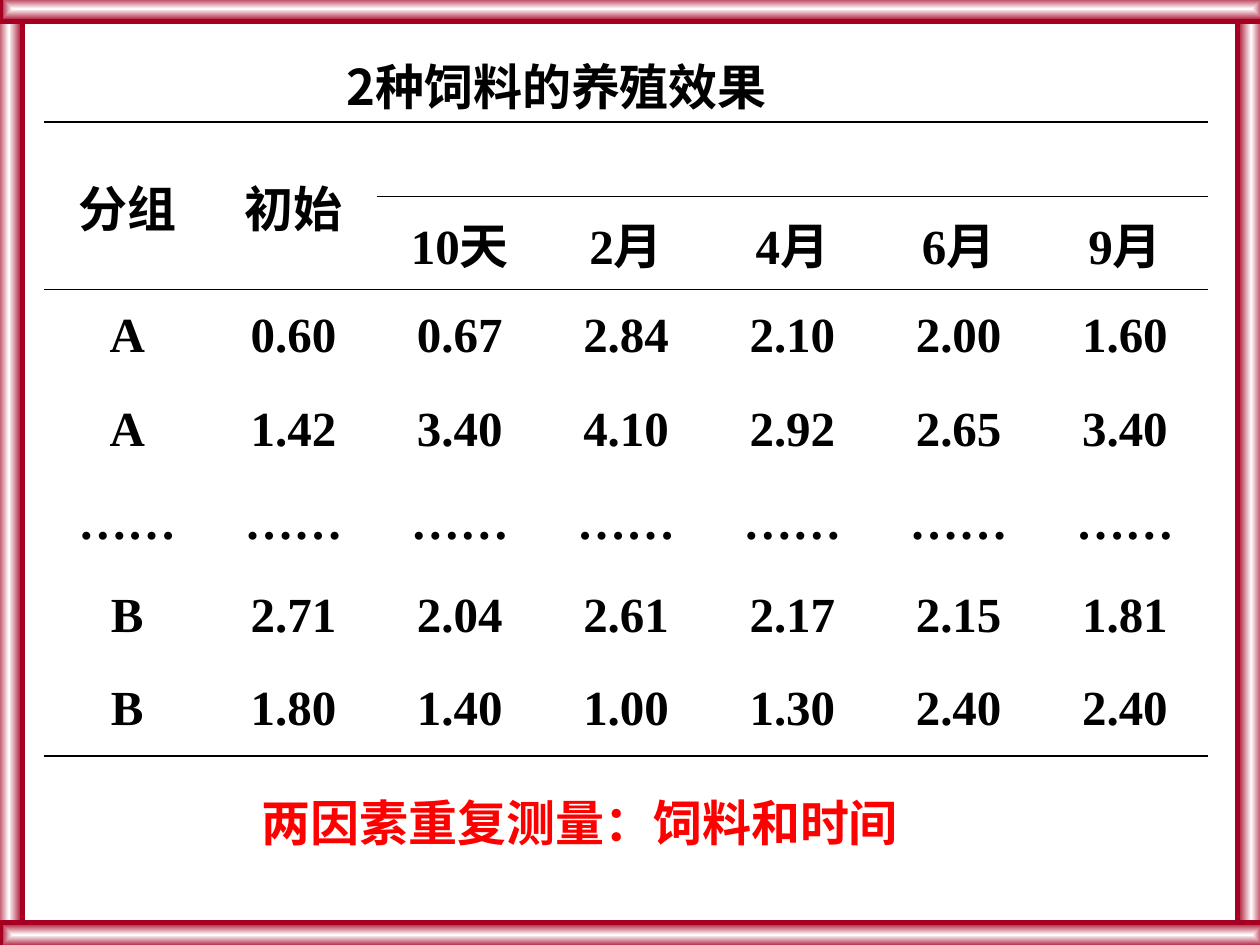
from lxml.etree import SubElement
from pptx import Presentation
from pptx.dml.color import RGBColor
from pptx.enum.shapes import MSO_SHAPE as Shape
from pptx.enum.text import MSO_ANCHOR as Anchor, PP_ALIGN as Align
from pptx.oxml import parse_xml
from pptx.oxml.ns import nsdecls, qn
from pptx.util import Inches, Pt

BLACK, RED, CRIMSON, WHITE = "000000", "FF0000", "A50021", "FFFFFF"
LATIN, CHINESE = "Times New Roman", "Noto Sans CJK SC"
PLAIN_TABLE = "{2D5ABB26-0587-4C30-8999-92F81FD0307C}"
THICK, THIN = 1.08, 0.45


def rgb(value):
    return RGBColor.from_string(value)


class FeedSlide:
    text_size = Pt(28)

    def __init__(self, slide):
        self.slide = slide

    def style(self, frame, color=BLACK, latin=LATIN, align=Align.LEFT):
        for paragraph in frame.paragraphs:
            paragraph.alignment = align
            for run in paragraph.runs:
                run.font.size = self.text_size
                run.font.bold = True
                run.font.name = latin
                run.font.color.rgb = rgb(color)
                SubElement(run.font._element, qn("a:ea"), typeface=CHINESE)

    def frame_bar(self, left, top, width, height):
        bar = self.slide.shapes.add_shape(
            Shape.RECTANGLE, Inches(left), Inches(top), Inches(width), Inches(height))
        bar.shadow.inherit = False
        bar.line.color.rgb = rgb(CRIMSON)
        bar.line.width = Pt(3)
        gradient = parse_xml(
            f'<a:gradFill {nsdecls("a")} rotWithShape="1"><a:gsLst>'
            f'<a:gs pos="0"><a:srgbClr val="{WHITE}"/></a:gs>'
            f'<a:gs pos="100000"><a:srgbClr val="{CRIMSON}"/></a:gs></a:gsLst>'
            '<a:path path="rect"><a:fillToRect l="50000" t="50000" r="50000" b="50000"/>'
            '</a:path></a:gradFill>')
        bar._element.spPr.find(qn("a:prstGeom")).addnext(gradient)

    def title(self, text, left, top, width, height):
        heading = self.slide.shapes.title
        heading.left, heading.top = Inches(left), Inches(top)
        heading.width, heading.height = Inches(width), Inches(height)
        heading.text_frame.text = text
        heading.text_frame.vertical_anchor = Anchor.TOP
        self.style(heading.text_frame, latin=CHINESE)

    def note(self, text, left, top, width, height, color):
        box = self.slide.shapes.add_textbox(
            Inches(left), Inches(top), Inches(width), Inches(height))
        box.text_frame.word_wrap = True
        box.text_frame.text = text
        self.style(box.text_frame, color)

    def borders(self, cell, top, bottom):
        properties = cell._tc.get_or_add_tcPr()
        for side, width in (("L", 0), ("R", 0), ("T", top), ("B", bottom)):
            edge = SubElement(properties, qn(f"a:ln{side}"), w=str(Pt(width)))
            if width:
                fill = SubElement(edge, qn("a:solidFill"))
                SubElement(fill, qn("a:srgbClr"), val=BLACK)
            else:
                SubElement(edge, qn("a:noFill"))

    def table(self, rows, left, top, column_width, row_heights, rule_at):
        column_count = len(rows[0])
        grid = self.slide.shapes.add_table(
            len(rows), column_count, Inches(left), Inches(top),
            Inches(column_width * column_count), Inches(sum(row_heights))).table
        grid._tbl.tblPr.find(qn("a:tableStyleId")).text = PLAIN_TABLE
        grid.first_row = grid.horz_banding = False
        for column in grid.columns:
            column.width = Inches(column_width)
        for r, (values, height) in enumerate(zip(rows, row_heights)):
            grid.rows[r].height = Inches(height)
            for c, value in enumerate(values):
                cell = grid.cell(r, c)
                self.borders(cell, rule_at(r, c), rule_at(r + 1, c))
                cell.fill.background()
                cell.vertical_anchor = Anchor.MIDDLE
                cell.text_frame.text = value
                self.style(cell.text_frame, align=Align.CENTER)
        return grid


def rule_at(boundary, column):
    if boundary == 1 and column < 2:
        return 0
    return {0: THICK, 1: THIN, 2: THIN, 7: THICK}.get(boundary, 0)


def main():
    deck = Presentation()
    deck.slide_width, deck.slide_height = Inches(10), Inches(7.5)
    page = FeedSlide(deck.slides.add_slide(deck.slide_layouts[5]))

    for left in (9.82, -0.04):
        page.frame_bar(left, 0, 0.22, 7.5)
    for top in (-0.03, 7.32):
        page.frame_bar(0, top, 10.04, 0.2)

    measurements = [
        ["分组", "初始", "", "", "", "", ""],
        ["", "", "10天", "2月", "4月", "6月", "9月"],
        ["A", "0.60", "0.67", "2.84", "2.10", "2.00", "1.60"],
        ["A", "1.42", "3.40", "4.10", "2.92", "2.65", "3.40"],
        ["……"] * 7,
        ["B", "2.71", "2.04", "2.61", "2.17", "2.15", "1.81"],
        ["B", "1.80", "1.40", "1.00", "1.30", "2.40", "2.40"],
    ]
    grid = page.table(measurements, 0.35, 0.97, 1.32, [0.59] + [0.74] * 6, rule_at)
    for column in (0, 1):
        grid.cell(0, column).merge(grid.cell(1, column))
    grid.cell(0, 2).merge(grid.cell(0, 6))

    page.title("2种饲料的养殖效果", 2.65, 0.4, 3.79, 0.57)
    page.note("两因素重复测量：饲料和时间", 1.98, 6.24, 5.97, 0.57, RED)
    deck.save("out.pptx")


if __name__ == "__main__":
    main()
